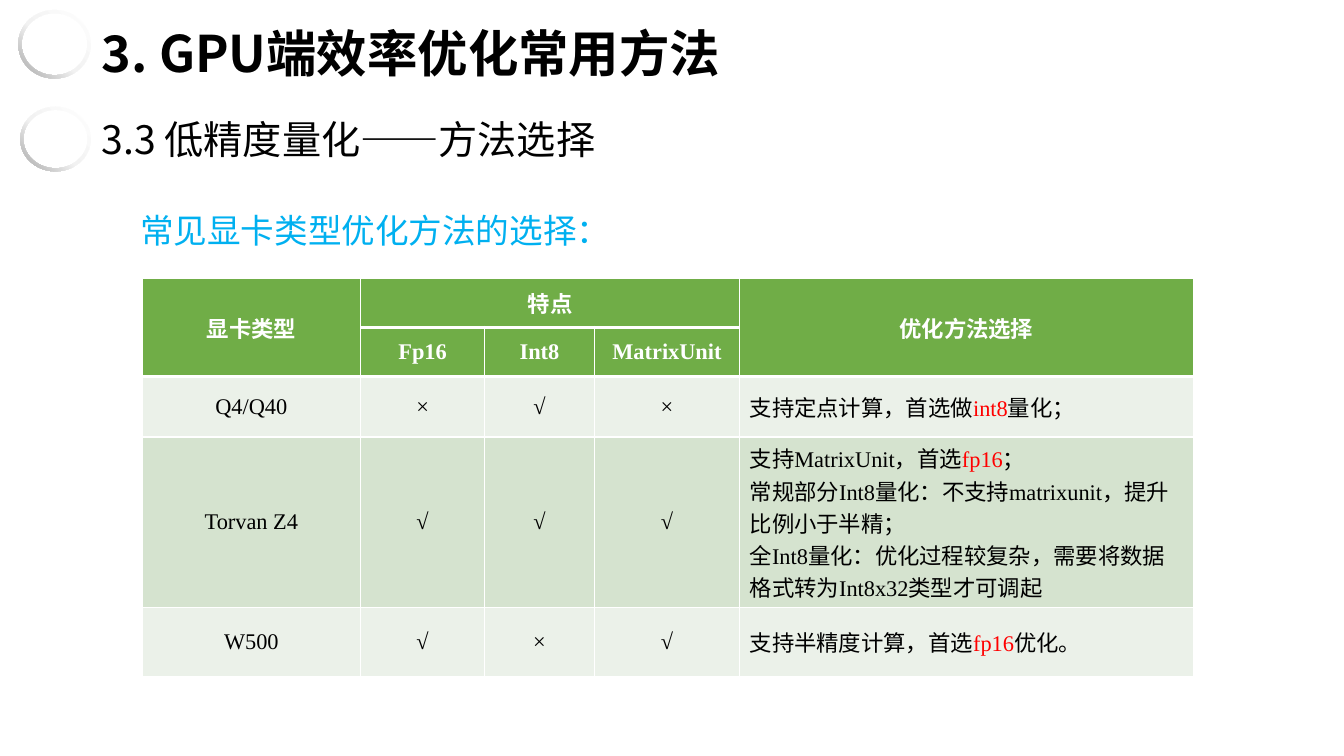
from copy import deepcopy
from lxml.etree import SubElement
from pptx import Presentation
from pptx.dml.color import RGBColor
from pptx.enum.shapes import MSO_SHAPE as Shape
from pptx.enum.text import MSO_ANCHOR as Anchor, MSO_AUTO_SIZE as AutoSize, PP_ALIGN as Align
from pptx.oxml.ns import qn
from pptx.util import Cm, Pt

# Content
TITLE = "3. GPU端效率优化常用方法"
SUBTITLE = "3.3 低精度量化——方法选择"
LEAD = "常见显卡类型优化方法的选择："
HEADER = [
    ["显卡类型", "特点", "", "", "优化方法选择"],
    ["", "Fp16", "Int8", "MatrixUnit", ""],
]
# Each advice paragraph is (text, is_key) runs
CARDS = [
    ("Q4/Q40", "×√×", [[("支持定点计算，首选做", False), ("int8", True), ("量化；", False)]]),
    ("Torvan Z4", "√√√", [
        [("支持MatrixUnit，首选", False), ("fp16", True), ("；", False)],
        [("常规部分Int8量化：不支持matrixunit，提升比例小于半精；", False)],
        [("全Int8量化：优化过程较复杂，需要将数据格式转为Int8x32类型才可调起", False)],
    ]),
    ("W500", "√×√", [[("支持半精度计算，首选", False), ("fp16", True), ("优化。", False)]]),
]
MERGES = [((0, 0), (1, 0)), ((0, 1), (0, 3)), ((0, 4), (1, 4))]
COL_WIDTHS = [5.51, 3.12, 2.77, 3.66, 11.43]
ROW_HEIGHTS = [1.24, 1.24, 1.52, 4.29, 1.75]
RINGS = [(0.46, 0.25, 1.83, 1.73), (0.51, 2.69, 1.78, 1.63)]

# Look
SANS, SERIF = "Noto Sans CJK SC", "Times New Roman"
BLACK, WHITE = RGBColor(0, 0, 0), RGBColor(255, 255, 255)
BLUE, RED = RGBColor(0x00, 0xB0, 0xF0), RGBColor(255, 0, 0)
GREEN = RGBColor(0x70, 0xAD, 0x47)
BANDS = [RGBColor(0xEB, 0xF1, 0xE9), RGBColor(0xD5, 0xE3, 0xCF)]
RING_STOPS = [(0, WHITE), (0.55, RGBColor(0xF2, 0xF2, 0xF2)), (1, RGBColor(0xA6, 0xA6, 0xA6))]


def add_run(p, text, size=16, font=SERIF, color=BLACK, bold=False):
    r = p.add_run()
    r.text = text
    r.font.size, r.font.name, r.font.bold = Pt(size), font, bold
    r.font.color.rgb = color
    SubElement(r.font._element, qn("a:ea"), typeface=SANS)


def add_line(s, box, text, **fmt):
    tf = s.shapes.add_textbox(*map(Cm, box)).text_frame
    tf.word_wrap = True
    tf.auto_size = AutoSize.SHAPE_TO_FIT_TEXT
    add_run(tf.paragraphs[0], text, font=SANS, **fmt)
    return tf.paragraphs[0]


def add_ring(s, box):
    sp = s.shapes.add_shape(Shape.DONUT, *map(Cm, box))
    sp.shadow.inherit = False
    sp.adjustments[0] = 0.049
    sp.line.fill.background()
    sp.fill.gradient()
    sp.fill.gradient_angle = 225
    stops = sp.fill._xPr.find(qn("a:gradFill")).find(qn("a:gsLst"))
    stops.append(deepcopy(stops[-1]))
    for stop, (position, color) in zip(sp.fill.gradient_stops, RING_STOPS):
        stop.position = position
        stop.color.rgb = color


def style_cell(cell, fill, borders):
    tcPr = cell._tc.get_or_add_tcPr()
    for side, points in borders.items():
        ln = SubElement(tcPr, qn("a:ln" + side), w=str(Pt(points)))
        SubElement(SubElement(ln, qn("a:solidFill")), qn("a:srgbClr"), val=str(WHITE))
    cell.fill.solid()
    cell.fill.fore_color.rgb = fill
    cell.vertical_anchor = Anchor.MIDDLE


def centre(cell, text, **fmt):
    p = cell.text_frame.paragraphs[0]
    p.alignment = Align.CENTER
    if text:
        add_run(p, text, **fmt)


prs = Presentation()
prs.slide_width, prs.slide_height = Cm(33.87), Cm(19.05)
s = prs.slides.add_slide(prs.slide_layouts[6])

# Headings
add_line(s, (2.31, 0.43, 26.26, 1.8), TITLE, size=36, bold=True)
for box in RINGS:
    add_ring(s, box)
add_line(s, (2.31, 2.79, 25.17, 1.45), SUBTITLE, size=28)
p = add_line(s, (2.01, 4.65, 28.09, 1.55), LEAD, size=24, color=BLUE)
p.level = 1
p.line_spacing = 1.5
pPr = p._p.get_or_add_pPr()
pPr.set("marL", str(Cm(1.27)))
pPr.set("indent", "0")

# Table grid
table = s.shapes.add_table(len(ROW_HEIGHTS), len(COL_WIDTHS), Cm(3.58), Cm(7.01),
                           Cm(sum(COL_WIDTHS)), Cm(sum(ROW_HEIGHTS))).table
for col, width in zip(table.columns, COL_WIDTHS):
    col.width = Cm(width)
for i, (row, height) in enumerate(zip(table.rows, ROW_HEIGHTS)):
    row.height = Cm(height)
    is_header = i < len(HEADER)
    fill = GREEN if is_header else BANDS[(i - len(HEADER)) % 2]
    bottom = 3 if is_header else 1
    for cell in row.cells:
        borders = {"L": 1, "R": 1, "B": bottom}
        if i == 0:
            borders = {"L": 1, "R": 1, "T": 1, "B": bottom}
        style_cell(cell, fill, borders)
for first, last in MERGES:
    table.cell(*first).merge(table.cell(*last))

# Table text
for i, labels in enumerate(HEADER):
    for j, label in enumerate(labels):
        centre(table.cell(i, j), label, color=WHITE, bold=True)
for i, (card, marks, advice) in enumerate(CARDS, len(HEADER)):
    for j, text in enumerate([card, *marks]):
        centre(table.cell(i, j), text)
    tf = table.cell(i, len(COL_WIDTHS) - 1).text_frame
    for k, runs in enumerate(advice):
        p = tf.add_paragraph() if k else tf.paragraphs[0]
        for text, is_key in runs:
            add_run(p, text, color=RED if is_key else BLACK)

prs.save("out.pptx")
